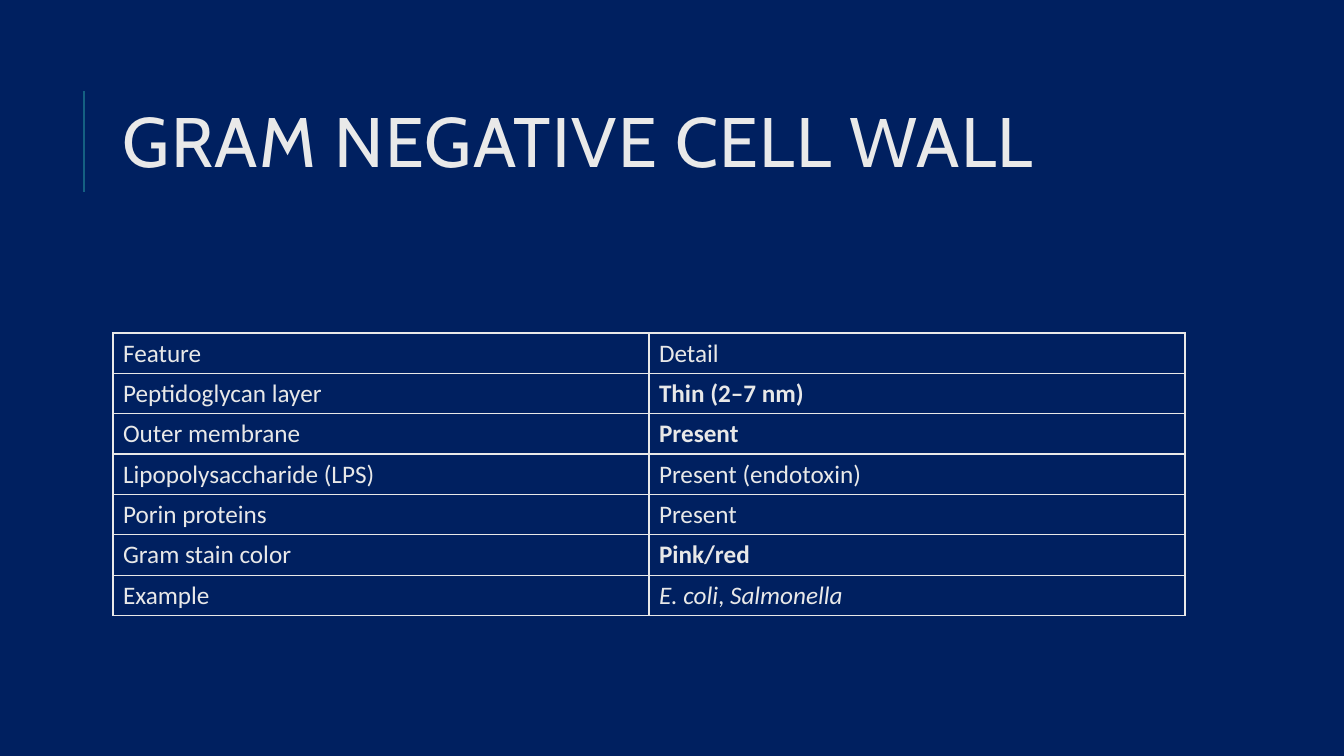
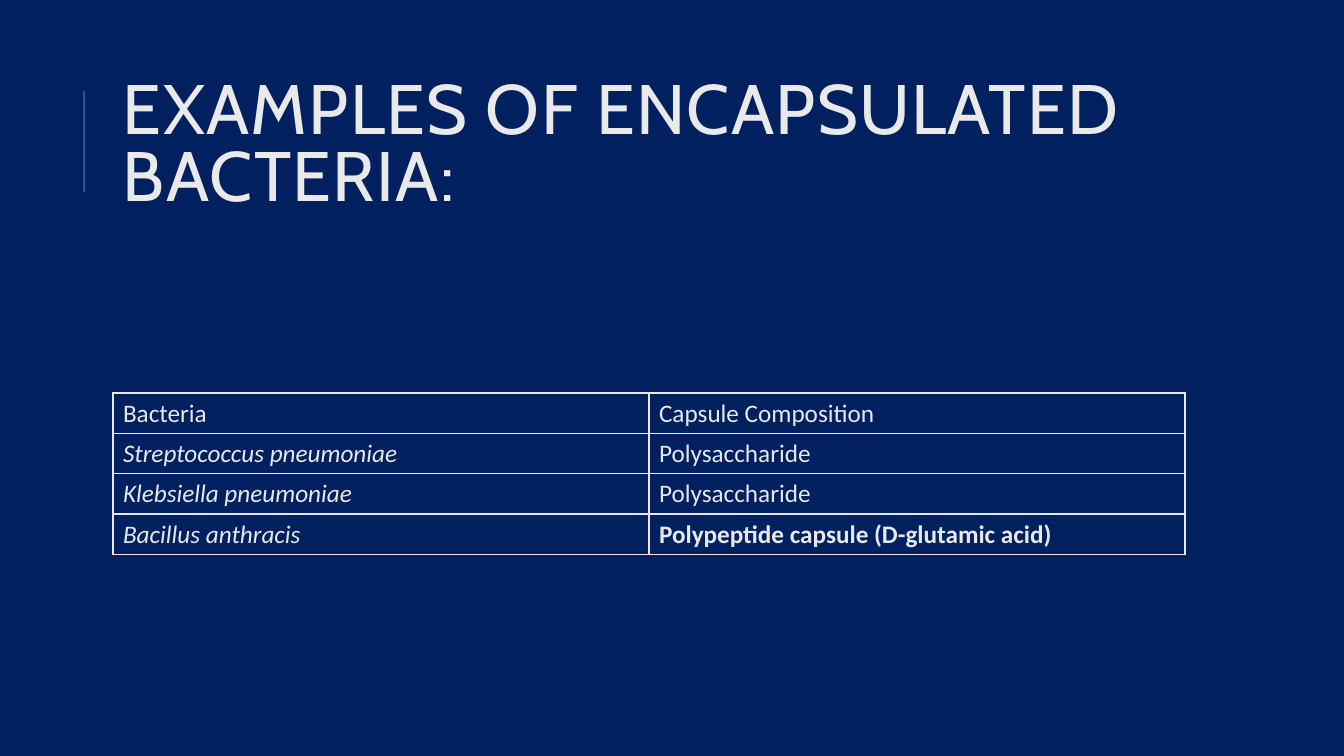
from lxml import etree
from pptx import Presentation
from pptx.dml.color import RGBColor
from pptx.enum.shapes import MSO_CONNECTOR
from pptx.enum.text import MSO_ANCHOR
from pptx.oxml.ns import qn
from pptx.util import Pt

STRAIGHT = MSO_CONNECTOR.STRAIGHT
MIDDLE = MSO_ANCHOR.MIDDLE

SLIDE_W, SLIDE_H = 1344, 756
EMU_PER_PX = 12192000 / SLIDE_W

COLORS = {
    "background": "002060",
    "accent": "156082",
    "title": "E9E9E9",
    "table": "E8E8E8",
}
TITLE_FONT, BODY_FONT = "Cabin", "Calibri"

TITLE_BOX = (113, 65, 1072, 165)
TABLE_LEFT, TABLE_W, ROW_H = 113, 1072, 40
BOLD, ITALIC = "bold", "italic"

CELL_WALL = [
    ["Feature", "Detail"],
    ["Peptidoglycan layer", [("Thin (2–7 nm)", BOLD)]],
    ["Outer membrane", [("Present", BOLD)]],
    ["Lipopolysaccharide (LPS)", "Present (endotoxin)"],
    ["Porin proteins", "Present"],
    ["Gram stain color", [("Pink/red", BOLD)]],
    ["Example", [("E. coli", ITALIC), (", ", None), ("Salmonella", ITALIC)]],
]
CAPSULES = [
    ["Bacteria", "Capsule Composition"],
    [[("Streptococcus pneumoniae", ITALIC)], "Polysaccharide"],
    [[("Klebsiella pneumoniae", ITALIC)], "Polysaccharide"],
    [[("Bacillus anthracis", ITALIC)],
     [("Polypeptide capsule (D-glutamic acid)", BOLD)]],
]


def px(n):
    return round(n * EMU_PER_PX)


def rgb(name):
    return RGBColor.from_string(COLORS[name])


def add_run(p, text, font, size, color, style=None):
    r = p.add_run()
    r.text = text
    r.font.name = font
    r.font.size = Pt(size)
    r.font.color.rgb = rgb(color)
    r.font.bold = style == BOLD
    r.font.italic = style == ITALIC
    return r


def add_title(slide, text, box):
    """Place the title with its accent rule 29 px to the left of the box."""
    left, top, width, height = box
    rule_x = px(left - 29)
    rule = slide.shapes.add_connector(
        STRAIGHT, rule_x, px(top + 127), rule_x, px(top + 26))
    rule.line.color.rgb = rgb("accent")
    rule.line.width = Pt(1.5)
    etree.SubElement(rule._element.spPr, qn("a:effectLst"))

    sp = slide.shapes.add_textbox(*map(px, box))
    tf = sp.text_frame
    tf.word_wrap = True
    tf.vertical_anchor = MIDDLE
    p = tf.paragraphs[0]
    p.line_spacing = 0.8
    r = add_run(p, text, TITLE_FONT, 50, "title")
    r.font._element.set("spc", "100")


def add_borders(cell, color, width):
    tc_pr = cell._tc.get_or_add_tcPr()
    for i, side in enumerate(("lnL", "lnR", "lnT", "lnB")):
        ln = etree.Element(qn(f"a:{side}"), w=str(Pt(width)))
        fill = etree.SubElement(ln, qn("a:solidFill"))
        etree.SubElement(fill, qn("a:srgbClr"), val=COLORS[color])
        tc_pr.insert(i, ln)


def add_table(slide, rows, left, top, width):
    n_cols = len(rows[0])
    frame = slide.shapes.add_table(
        len(rows), n_cols, px(left), px(top), px(width), px(ROW_H * len(rows)))
    table = frame.table
    table.first_row = False
    table.horz_banding = False
    for col in table.columns:
        col.width = px(width / n_cols)
    for i, row in enumerate(rows):
        for j, content in enumerate(row):
            cell = table.cell(i, j)
            cell.vertical_anchor = MIDDLE
            cell.fill.background()
            add_borders(cell, "table", 1)
            runs = [(content, None)] if isinstance(content, str) else content
            p = cell.text_frame.paragraphs[0]
            for text, style in runs:
                add_run(p, text, BODY_FONT, 18, "table", style)


def add_table_slide(prs, title, rows, table_top):
    slide = prs.slides.add_slide(prs.slide_layouts[6])
    add_title(slide, title, TITLE_BOX)
    add_table(slide, rows, TABLE_LEFT, table_top, TABLE_W)


def main():
    prs = Presentation()
    prs.slide_width, prs.slide_height = px(SLIDE_W), px(SLIDE_H)
    background = prs.slide_master.background.fill
    background.solid()
    background.fore_color.rgb = rgb("background")

    add_table_slide(prs, "GRAM NEGATIVE CELL WALL", CELL_WALL, 333)
    add_table_slide(prs, "EXAMPLES OF ENCAPSULATED BACTERIA:", CAPSULES, 393)
    prs.save("out.pptx")


if __name__ == "__main__":
    main()
